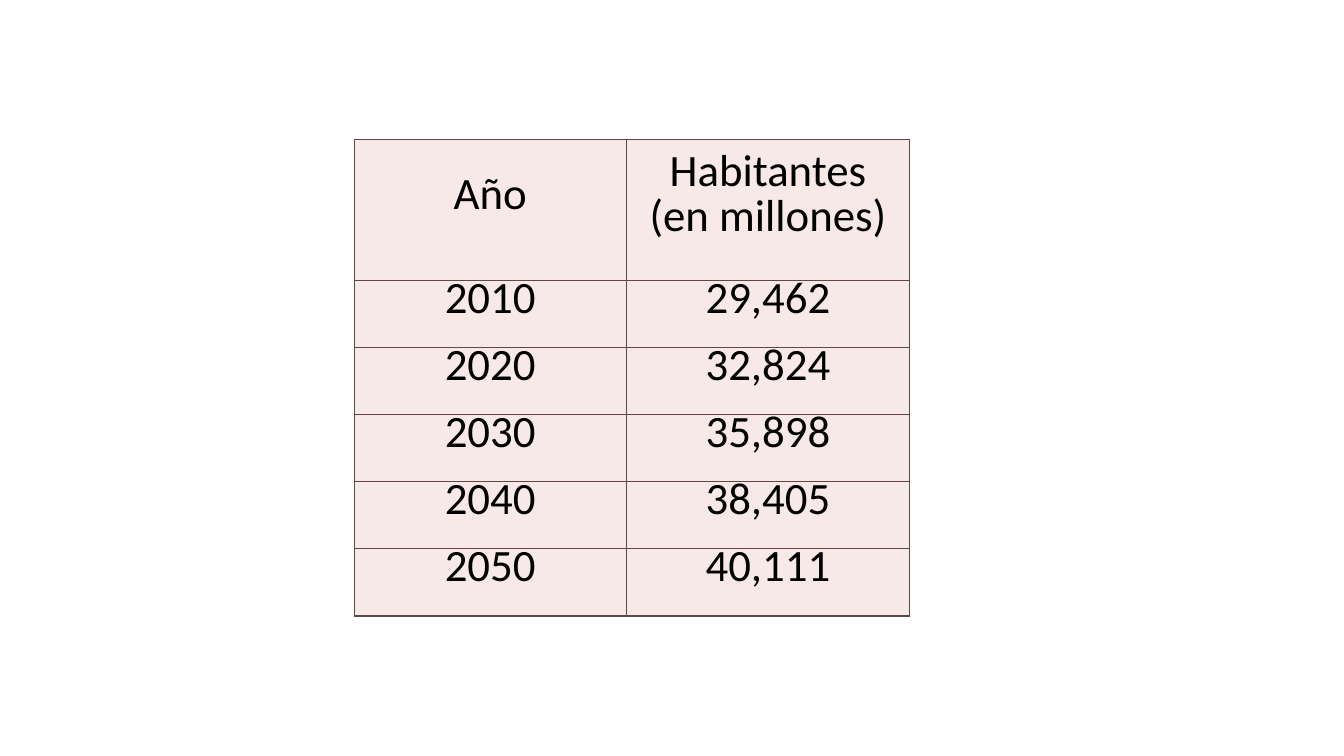
from lxml.etree import SubElement as Sub
from pptx import Presentation
from pptx.dml.color import RGBColor
from pptx.enum.text import MSO_ANCHOR as Anchor, PP_ALIGN as Align
from pptx.oxml.ns import qn
from pptx.util import Cm, Pt

ROWS = [
    ("Año", "Habitantes\n(en millones)"),
    ("2010", "29,462"),
    ("2020", "32,824"),
    ("2030", "35,898"),
    ("2040", "38,405"),
    ("2050", "40,111"),
]
WIDTHS = (6.85, 7.15)
HEAD, BODY = 3.55, 1.69
LEFT, TOP = 8.93, 3.52

ROSE = RGBColor(0xF7, 0xE9, 0xE8)
PLUM = RGBColor(0x64, 0x46, 0x46)
BLACK = RGBColor(0, 0, 0)

CELL = {
    "vertical_anchor": Anchor.MIDDLE,
    "margin_left": Cm(0.13),
    "margin_right": Cm(0.13),
    "margin_top": 0,
    "margin_bottom": 0,
}
PARA = {"alignment": Align.CENTER, "line_spacing": Pt(16)}
FONT = {"name": "Calibri", "size": Pt(32), "bold": False}


def put(item, values):
    for name, value in values.items():
        setattr(item, name, value)


def frame(cell):
    """Draw the four cell borders; call before the fill is set."""
    props = cell._tc.get_or_add_tcPr()
    for side in ("lnL", "lnR", "lnT", "lnB"):
        line = Sub(props, qn(f"a:{side}"), w=str(Pt(1)))
        fill = Sub(line, qn("a:solidFill"))
        Sub(fill, qn("a:srgbClr"), val=str(PLUM))


def write(cell, text):
    cell.text = text
    put(cell, CELL)
    for i, para in enumerate(cell.text_frame.paragraphs):
        put(para, PARA)
        para.space_before = Pt(16 * i)
        for run in para.runs:
            put(run.font, FONT)
            run.font.color.rgb = BLACK


def main():
    deck = Presentation()
    deck.slide_width, deck.slide_height = Cm(33.87), Cm(19.05)
    slide = deck.slides.add_slide(deck.slide_layouts[6])

    heights = [HEAD] + [BODY] * (len(ROWS) - 1)
    table = slide.shapes.add_table(
        len(ROWS), len(WIDTHS), Cm(LEFT), Cm(TOP),
        Cm(sum(WIDTHS)), Cm(sum(heights))).table
    for col, width in zip(table.columns, WIDTHS):
        col.width = Cm(width)
    for row, height, texts in zip(table.rows, heights, ROWS):
        row.height = Cm(height)
        for cell, text in zip(row.cells, texts):
            write(cell, text)
            frame(cell)
            cell.fill.solid()
            cell.fill.fore_color.rgb = ROSE

    deck.save("out.pptx")


if __name__ == "__main__":
    main()
